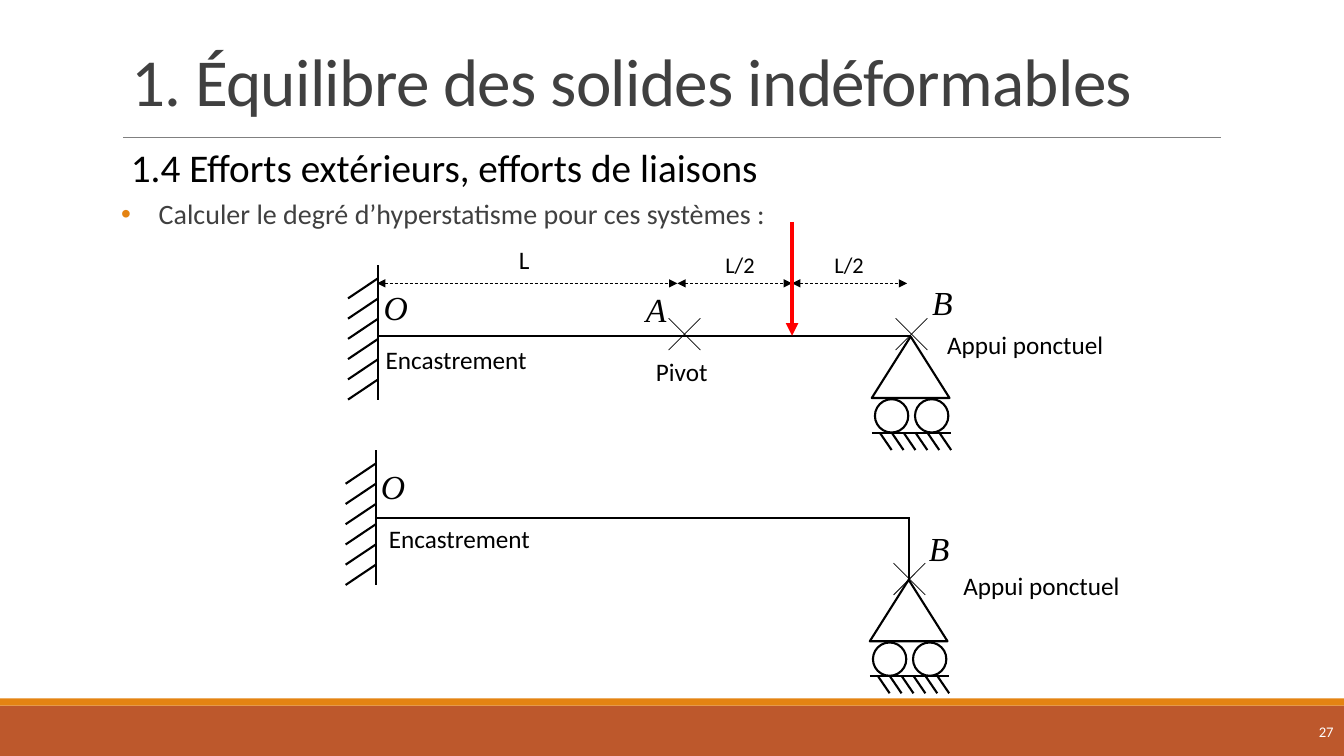
import pptx
import pptx.util
import pptx.dml.color
import pptx.enum.dml
import pptx.enum.shapes
import pptx.enum.text
import pptx.oxml
import pptx.oxml.ns
from lxml import etree

Cm, Pt = pptx.util.Cm, pptx.util.Pt
RGB = pptx.dml.color.RGBColor.from_string
SHAPE = pptx.enum.shapes.MSO_SHAPE
ALIGN = pptx.enum.text.PP_ALIGN
ANCHOR = pptx.enum.text.MSO_ANCHOR
AUTO_SIZE = pptx.enum.text.MSO_AUTO_SIZE
qn = pptx.oxml.ns.qn

# Colours, line widths and type styles: (font values, colour)
THEME = {
    "ink": RGB("000000"), "load": RGB("FF0000"), "rule": RGB("808080"),
    "band": RGB("BD582C"), "accent": RGB("E48312"),
    "thin": Pt(0.5), "normal": Pt(1.5), "thick": Pt(3),
    "title": ({"name": "Calibri", "size": Pt(48)}, RGB("404040")),
    "subtitle": ({"name": "Calibri", "size": Pt(28)}, RGB("000000")),
    "body": ({"name": "Calibri", "size": Pt(20)}, RGB("404040")),
    "label": ({"name": "Calibri", "size": Pt(18)}, RGB("000000")),
    "length": ({"name": "Calibri", "size": Pt(16)}, RGB("000000")),
    "point": ({"name": "Times New Roman", "size": Pt(24), "italic": True}, RGB("000000")),
    "number": ({"name": "Calibri", "size": Pt(10.5)}, RGB("FFFFFF")),
}


def write(box, text, style, wrap=False):
    """Write one styled paragraph into a box and return the paragraph."""
    frame = box.text_frame
    frame.word_wrap = wrap
    frame.auto_size = AUTO_SIZE.NONE if wrap else AUTO_SIZE.SHAPE_TO_FIT_TEXT
    para = frame.paragraphs[0]
    span = para.add_run()
    span.text = text
    values, colour = THEME[style]
    for name, value in values.items():
        setattr(span.font, name, value)
    span.font.color.rgb = colour
    return para


def draw_line(shapes, x1, y1, x2, y2, width="normal", colour="ink", arrows=()):
    """Draw a straight line, in centimetres, with arrowheads at the named ends."""
    line = shapes.add_connector(pptx.enum.shapes.MSO_CONNECTOR.STRAIGHT,
                                Cm(x1), Cm(y1), Cm(x2), Cm(y2))
    line.line.width = THEME[width]
    line.line.color.rgb = THEME[colour]
    if len(arrows) == 2:
        line.line.dash_style = pptx.enum.dml.MSO_LINE.DASH
    properties = line.line._get_or_add_ln()
    for end in arrows:
        etree.SubElement(properties, qn(f"a:{end}"), type="triangle")
    etree.SubElement(line._element.spPr, qn("a:effectLst"))


deck = pptx.Presentation()
deck.slide_width, deck.slide_height = Cm(33.87), Cm(19.05)
page = deck.slides.add_slide(deck.slide_layouts[1])

# Footer bands and title rule
for top, height, colour in [(17.78, 1.27, "band"), (17.6, 0.18, "accent")]:
    band = page.shapes.add_shape(SHAPE.RECTANGLE, 0, Cm(top), deck.slide_width, Cm(height))
    band.shadow.inherit = False
    band.fill.solid()
    band.fill.fore_color.rgb = THEME[colour]
    band.line.fill.background()
draw_line(page.shapes, 3.1, 3.45, 30.78, 3.45, "thin", "rule")

# Title and bulleted question
title, body = page.shapes.title, page.placeholders[1]
for box, (left, top, width, height) in [(title, (3.05, 0.79, 27.94, 2.36)),
                                        (body, (3.05, 4.93, 27.61, 1.88))]:
    box.left, box.top, box.width, box.height = Cm(left), Cm(top), Cm(width), Cm(height)

para = write(title, "1. Équilibre des solides indéformables", "title", wrap=True)
title.text_frame.vertical_anchor = ANCHOR.BOTTOM
para.alignment = ALIGN.LEFT
para.line_spacing = 0.85
para.runs[0].font._element.set("spc", "-50")

para = write(body, "Calculer le degré d’hyperstatisme pour ces systèmes :", "body", wrap=True)
body.text_frame.margin_left = body.text_frame.margin_right = 0
bullet = para._p.get_or_add_pPr()
bullet.set("marL", str(Cm(0.95)))
bullet.set("indent", str(-Cm(0.95)))
bullet_colour = etree.SubElement(bullet, qn("a:buClr"))
etree.SubElement(bullet_colour, qn("a:srgbClr"), val=str(THEME["accent"]))
etree.SubElement(bullet, qn("a:buChar"), char="•")
for name, value in {"alignment": ALIGN.JUSTIFY, "line_spacing": 0.9,
                    "space_before": Pt(0), "space_after": Pt(2)}.items():
    setattr(para, name, value)

# Subtitle and page number
subtitle = page.shapes.add_textbox(Cm(3.05), Cm(3.48), Cm(16.31), Cm(1.45))
write(subtitle, "1.4 Efforts extérieurs, efforts de liaisons", "subtitle")
number = page.shapes.add_textbox(Cm(30.23), Cm(17.93), Cm(3.63), Cm(1.02))
write(number, "27", "number", wrap=True).alignment = ALIGN.RIGHT
number.text_frame.vertical_anchor = ANCHOR.MIDDLE

# Two beam systems: wall top, support corner, beam lines, labels (left, top, width, height)
SYSTEMS = [
    {"wall": (9.53, 6.68), "support": (21.97, 8.48),
     "beam": [(9.53, 8.46, 22.97, 8.46)],
     "labels": [("Encastrement", "label", 9.47, 8.56, 5.21, 1.3),
                ("Pivot", "label", 16.28, 8.86, 1.83, 1.02),
                ("Appui ponctuel", "label", 23.62, 8.18, 4.93, 1.12),
                ("L", "label", 12.83, 6.02, 0.86, 1.12),
                ("O", "point", 9.42, 7.11, 1.24, 1.4),
                ("A", "point", 16.03, 7.16, 1.14, 1.4),
                ("B", "point", 23.24, 6.99, 1.14, 1.4),
                ("L/2", "length", 18.03, 6.2, 1.4, 0.94),
                ("L/2", "length", 20.78, 6.2, 1.4, 0.94)]},
    {"wall": (9.47, 11.35), "support": (21.92, 14.61),
     "beam": [(9.47, 13.06, 22.91, 13.06), (22.91, 13.04, 22.91, 14.61)],
     "labels": [("Encastrement", "label", 9.55, 13.06, 5.21, 1.3),
                ("Appui ponctuel", "label", 24.03, 14.25, 4.93, 1.12),
                ("O", "point", 9.35, 11.61, 1.24, 1.4),
                ("B", "point", 23.16, 13.18, 1.14, 1.4)]},
]
groups = []
for system in SYSTEMS:
    shapes = page.shapes.add_group_shape().shapes
    groups.append(shapes)

    # Fixed wall with hatching
    x, y = system["wall"]
    draw_line(shapes, x, y, x, y + 3.4)
    for i in range(6):
        hatch = y + 0.33 + 0.51 * i
        draw_line(shapes, x, hatch, x - 0.76, hatch + 0.51)

    for ends in system["beam"]:
        draw_line(shapes, *ends)

    # Roller support on hatched ground
    x, y = system["support"]
    for kind, dx, dy, width, height in [(SHAPE.ISOSCELES_TRIANGLE, 0, 0, 1.96, 1.55),
                                        (SHAPE.OVAL, 0.08, 1.58, 0.84, 0.84),
                                        (SHAPE.OVAL, 1.09, 1.58, 0.84, 0.84)]:
        part = shapes.add_shape(kind, Cm(x + dx), Cm(y + dy), Cm(width), Cm(height))
        part.shadow.inherit = False
        part.fill.background()
        part.line.color.rgb = THEME["ink"]
        part.line.width = THEME["normal"]
    ground = y + 2.42
    draw_line(shapes, x, ground, x + 2, ground)
    for i in range(6):
        hatch = x + 0.2 + 0.3 * i
        draw_line(shapes, hatch, ground, hatch + 0.3, ground + 0.44)

    for text, style, *place in system["labels"]:
        box = shapes.add_textbox(*map(Cm, place))
        write(box, text, style, wrap=style == "length")

# Crosses marking the joints
for shapes, x, y in [(groups[0], 17.25, 8.42), (groups[0], 22.97, 8.42),
                     (groups[1], 22.92, 14.59)]:
    for rise in (0.4, -0.4):
        draw_line(shapes, x - 0.4, y - rise, x + 0.4, y + rise, "thin")

# Dimensions and load on the first beam
stations = [9.5, 17.07, 19.96, 22.86]
for start, end in zip(stations, stations[1:]):
    draw_line(groups[0], start, 7.14, end, 7.14, "thin", arrows=("headEnd", "tailEnd"))
draw_line(groups[0], stations[2], 5.59, stations[2], 8.46, "thick", "load", ("tailEnd",))

deck.save("out.pptx")
